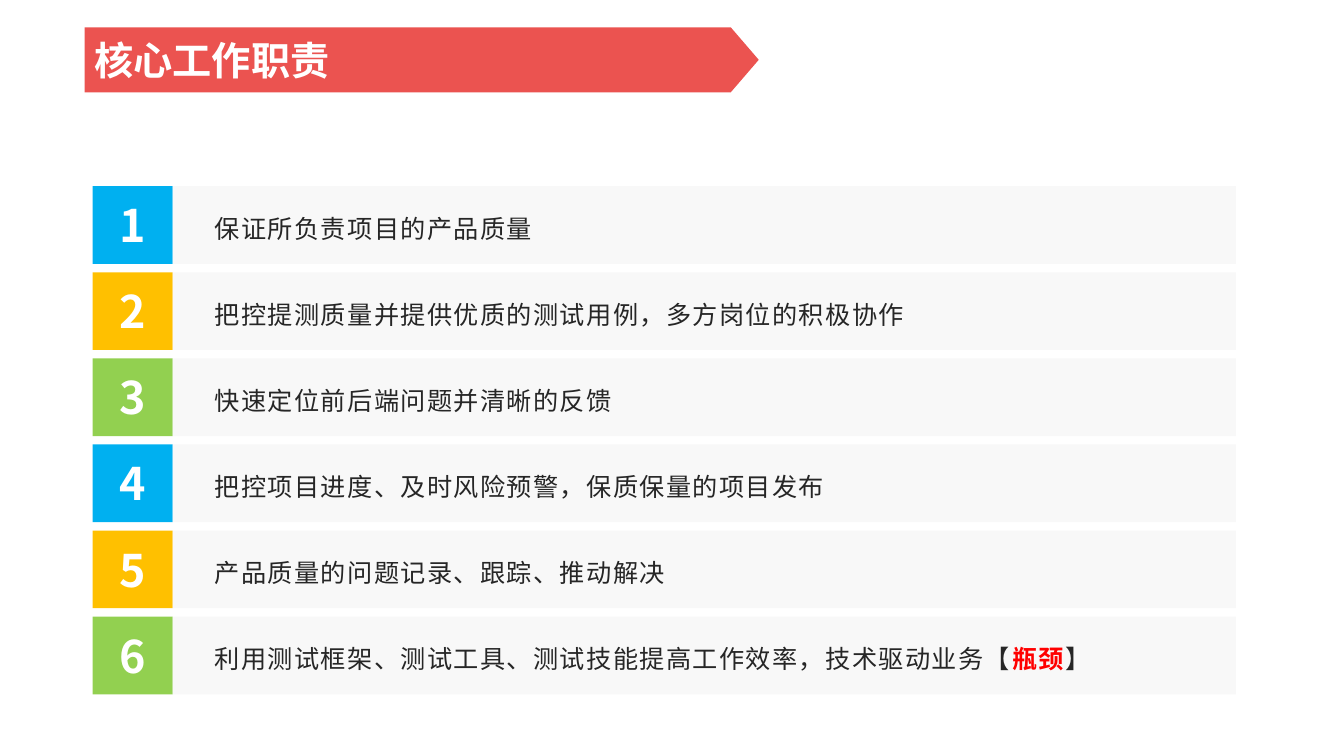
from pptx import Presentation
from pptx.dml.color import RGBColor
from pptx.enum.shapes import MSO_SHAPE
from pptx.enum.text import MSO_ANCHOR, PP_ALIGN
from pptx.oxml.ns import qn
from pptx.util import Pt
from lxml.etree import SubElement

FONT = "Noto Sans CJK SC"
CORAL = RGBColor(0xEB, 0x53, 0x50)
BLUE = RGBColor(0x00, 0xB0, 0xF0)
AMBER = RGBColor(0xFF, 0xC0, 0x00)
GREEN = RGBColor(0x92, 0xD0, 0x50)
PALE = RGBColor(0xF2, 0xF2, 0xF2)
DARK = RGBColor(0x26, 0x26, 0x26)
RED = RGBColor(0xFF, 0x00, 0x00)
WHITE = RGBColor(0xFF, 0xFF, 0xFF)

TAGS = [BLUE, AMBER, GREEN]
DUTIES = [
    [("保证所负责项目的产品质量", DARK, False)],
    [("把控提测质量并提供优质的测试用例，多方岗位的积极协作", DARK, False)],
    [("快速定位前后端问题并清晰的反馈", DARK, False)],
    [("把控项目进度、及时风险预警，保质保量的项目发布", DARK, False)],
    [("产品质量的问题记录、跟踪、推动解决", DARK, False)],
    [("利用测试框架、测试工具、测试技能提高工作效率，技术驱动业务【", DARK, False),
     ("瓶颈", RED, True), ("】", DARK, False)],
]


def add_block(slide, kind, left, top, width, height, color):
    """Add a flat filled shape without outline or shadow."""
    block = slide.shapes.add_shape(kind, Pt(left), Pt(top), Pt(width), Pt(height))
    block.shadow.inherit = False
    block.fill.solid()
    block.fill.fore_color.rgb = color
    block.line.fill.background()
    return block


def add_run(para, text, size, color, bold, gap=0):
    """Add one styled run, with letter spacing in points."""
    run = para.add_run()
    run.text = text
    run.font.size = Pt(size)
    run.font.bold = bold
    run.font.color.rgb = color
    run.font.name = FONT
    props = run._r.get_or_add_rPr()
    SubElement(props, qn("a:ea")).set("typeface", FONT)
    if gap:
        props.set("spc", str(gap * 100))


def add_title(slide, left, top, width, height):
    """Draw the title arrow."""
    arrow = add_block(slide, MSO_SHAPE.PENTAGON, left, top, width, height, CORAL)
    arrow.adjustments[0] = 0.43
    arrow.text_frame.vertical_anchor = MSO_ANCHOR.MIDDLE
    para = arrow.text_frame.paragraphs[0]
    para.alignment = PP_ALIGN.LEFT
    add_run(para, "核心工作职责", 28, WHITE, True)


def add_duty(slide, left, top, width, height, number, color, parts):
    """Draw one numbered duty row."""
    side = 57
    add_block(slide, MSO_SHAPE.RECTANGLE, left, top, side, height, color)
    bar = add_block(slide, MSO_SHAPE.RECTANGLE, left + side, top,
                    width - side, height, PALE)
    shade = bar.fill._xPr.find(qn("a:solidFill"))[0]
    SubElement(shade, qn("a:alpha")).set("val", "50000")

    label = slide.shapes.add_textbox(Pt(left + 11.25), Pt(top + 4.75), Pt(34.5), Pt(46))
    label.text_frame.word_wrap = False
    para = label.text_frame.paragraphs[0]
    para.alignment = PP_ALIGN.CENTER
    add_run(para, str(number), 32, WHITE, True)

    body = slide.shapes.add_textbox(Pt(left + 80), Pt(top + 7.25),
                                    Pt(width - 103), Pt(height - 14.5))
    body.text_frame.word_wrap = True
    body.text_frame.vertical_anchor = MSO_ANCHOR.MIDDLE
    para = body.text_frame.paragraphs[0]
    para.line_spacing = 1.2
    for text, tint, bold in parts:
        add_run(para, text, 18, tint, bold, 1)


def add_list(slide, left, top, width, height):
    """Stack the duty rows evenly in the given box."""
    gap = 6
    row = (height + gap) / len(DUTIES) - gap
    for i, parts in enumerate(DUTIES):
        add_duty(slide, left, top + i * (row + gap), width, row,
                 i + 1, TAGS[i % len(TAGS)], parts)


def main():
    """Build and save the slide."""
    deck = Presentation()
    deck.slide_width, deck.slide_height = Pt(960), Pt(540)
    slide = deck.slides.add_slide(deck.slide_layouts[6])
    add_title(slide, 60.5, 19.5, 481.5, 46.5)
    add_list(slide, 66.25, 133, 816.5, 363)
    deck.save("out.pptx")


if __name__ == "__main__":
    main()
